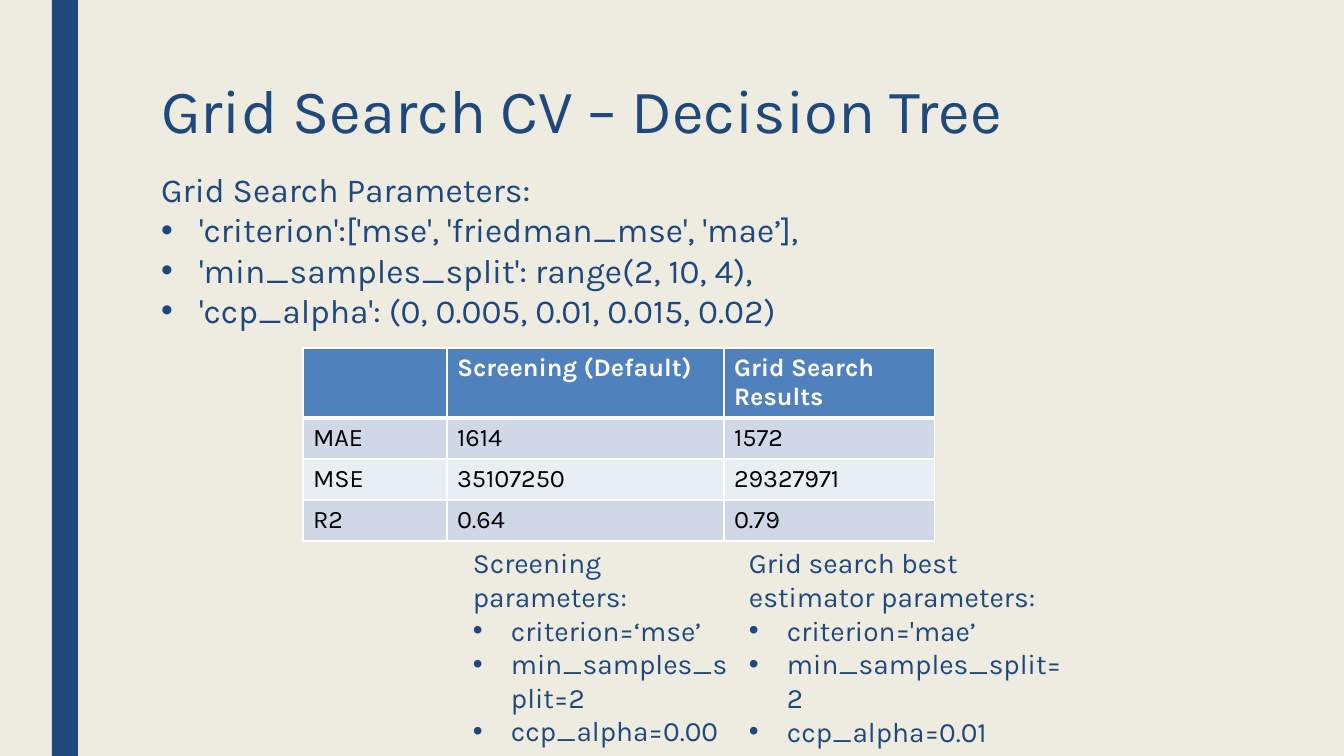
"""Build the decision tree grid search slide."""
from dataclasses import dataclass

import lxml.etree
import pptx
import pptx.dml.color
import pptx.enum.shapes
import pptx.enum.text
import pptx.oxml.ns
import pptx.util

RGB = pptx.dml.color.RGBColor
NAVY = RGB(0x1F, 0x49, 0x7D)
BLUE = RGB(0x4F, 0x81, 0xBD)
BAND_DARK = RGB(0xD0, 0xD8, 0xE8)
BAND_LIGHT = RGB(0xE9, 0xED, 0xF4)
CREAM = RGB(0xEE, 0xEC, 0xE1)
WHITE = RGB(0xFF, 0xFF, 0xFF)
BLACK = RGB(0, 0, 0)
FONT = "Karla"
EMU_PER_PX = 914400 / 100.8
INDENT = 38


@dataclass(frozen=True)
class ListBlock:
    """A heading with bullets below it, in a box given in pixels."""
    box: tuple[int, int, int, int]
    size: int
    heading: str
    bullets: tuple[str, ...]


PARAMETERS = ListBlock(
    (151, 164, 820, 173), 24, "Grid Search Parameters:",
    ("'criterion':['mse', 'friedman_mse', 'mae’],",
     "'min_samples_split': range(2, 10, 4),",
     "'ccp_alpha': (0, 0.005, 0.01, 0.015, 0.02)"))
ESTIMATORS = (
    ListBlock((739, 541, 333, 179), 20, "Grid search best estimator parameters:",
              ("criterion='mae’", "min_samples_split=2", "ccp_alpha=0.01")),
    ListBlock((463, 541, 284, 214), 20, "Screening parameters:",
              ("criterion=‘mse’", "min_samples_split=2", "ccp_alpha=0.00")),
)
SCORES = (
    ("", "Screening (Default)", "Grid Search Results"),
    ("MAE", "1614", "1572"),
    ("MSE", "35107250", "29327971"),
    ("R2", "0.64", "0.79"),
)
COL_WIDTHS = (144, 277, 211)
ROW_HEIGHTS = (70, 41, 41, 41)


def px(n: float) -> pptx.util.Emu:
    """Convert pixels to EMU."""
    return pptx.util.Emu(round(n * EMU_PER_PX))


def place(sp, box: tuple[int, int, int, int]) -> None:
    """Move and size a shape."""
    sp.left, sp.top, sp.width, sp.height = map(px, box)


def add_xml(parent, tag: str, **attrs: str):
    """Append a DrawingML child element."""
    return lxml.etree.SubElement(parent, pptx.oxml.ns.qn(tag), attrs)


def set_text(p, text: str, *, size: int, color=NAVY, bold: bool = False,
             spacing: float = 1.0, bullet: bool = False) -> None:
    """Write one formatted left-aligned paragraph."""
    p.alignment = pptx.enum.text.PP_ALIGN.LEFT
    p.line_spacing = spacing
    p.space_before = pptx.util.Pt(0)
    pPr = p._p.get_or_add_pPr()
    indent = px(INDENT) if bullet else 0
    pPr.set("marL", str(indent))
    pPr.set("indent", str(-indent))
    if bullet:
        add_xml(pPr, "a:buFont", typeface="Arial")
        add_xml(pPr, "a:buChar", char="•")
    else:
        add_xml(pPr, "a:buNone")
    r = p.add_run()
    r.text = text
    r.font.name, r.font.size = FONT, pptx.util.Pt(size)
    r.font.bold, r.font.color.rgb = bold, color


def fill_list(sp, block: ListBlock) -> None:
    """Place a shape and write the heading and bullets into it."""
    place(sp, block.box)
    tf = sp.text_frame
    tf.word_wrap = True
    tf.auto_size = pptx.enum.text.MSO_AUTO_SIZE.NONE
    set_text(tf.paragraphs[0], block.heading, size=block.size)
    for text in block.bullets:
        set_text(tf.add_paragraph(), text, size=block.size, bullet=True)


def set_borders(cell, widths: dict[str, int]) -> None:
    """Give a cell white borders, with widths in points by side."""
    tcPr = cell._tc.get_or_add_tcPr()
    for side, width in widths.items():
        ln = add_xml(tcPr, f"a:ln{side}", w=str(pptx.util.Pt(width)))
        add_xml(add_xml(ln, "a:solidFill"), "a:srgbClr", val=str(WHITE))


def add_scores(slide) -> None:
    """Add the table that compares the scores."""
    frame = slide.shapes.add_table(
        len(SCORES), len(COL_WIDTHS), px(303), px(348),
        px(sum(COL_WIDTHS)), px(sum(ROW_HEIGHTS)))
    table = frame.table
    for col, width in zip(table.columns, COL_WIDTHS):
        col.width = px(width)
    for i, (row, height, texts) in enumerate(zip(table.rows, ROW_HEIGHTS, SCORES)):
        row.height = px(height)
        header = i == 0
        band = BLUE if header else (BAND_LIGHT, BAND_DARK)[i % 2]
        for cell, text in zip(row.cells, texts):
            set_borders(cell, {"L": 1, "R": 1, "T": 3 if i == 1 else 1,
                               "B": 3 if header else 1})
            cell.fill.solid()
            cell.fill.fore_color.rgb = band
            if text:
                set_text(cell.text_frame.paragraphs[0], text, size=18,
                         color=WHITE if header else BLACK, bold=header)


def add_side_bar(slide) -> None:
    """Add the vertical bar at the left."""
    sp = slide.shapes.add_shape(
        pptx.enum.shapes.MSO_SHAPE.RECTANGLE, px(52), 0, px(26), px(756))
    sp.shadow.inherit = False
    sp.fill.solid()
    sp.fill.fore_color.rgb = NAVY
    sp.line.fill.background()


def main() -> None:
    """Build and save the slide."""
    prs = pptx.Presentation()
    prs.slide_width, prs.slide_height = px(1344), px(756)
    slide = prs.slides.add_slide(prs.slide_layouts[1])
    slide.background.fill.solid()
    slide.background.fill.fore_color.rgb = CREAM
    add_side_bar(slide)
    title = slide.shapes.title
    place(title, (151, 76, 1058, 76))
    title.text_frame.auto_size = pptx.enum.text.MSO_AUTO_SIZE.NONE
    set_text(title.text_frame.paragraphs[0], "Grid Search CV – Decision Tree",
             size=44, spacing=0.89)
    fill_list(slide.placeholders[1], PARAMETERS)
    add_scores(slide)
    for block in ESTIMATORS:
        fill_list(slide.shapes.add_textbox(0, 0, 0, 0), block)
    prs.save("out.pptx")


main()
